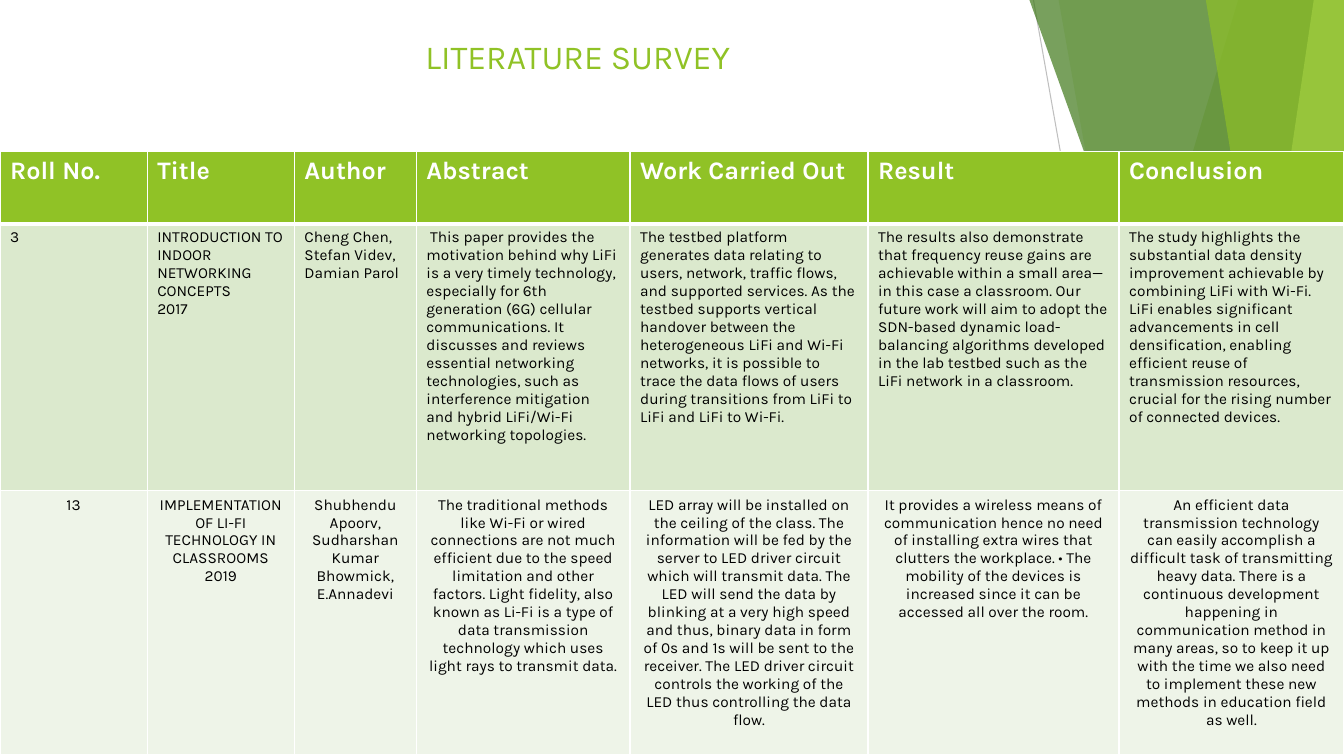
from lxml import etree
from pptx import Presentation
from pptx.dml.color import RGBColor
from pptx.enum.shapes import MSO_CONNECTOR
from pptx.enum.text import MSO_ANCHOR, MSO_AUTO_SIZE, PP_ALIGN
from pptx.oxml.ns import qn
from pptx.util import Inches, Pt

STRAIGHT = MSO_CONNECTOR.STRAIGHT
TOP = MSO_ANCHOR.TOP
NO_AUTOFIT = MSO_AUTO_SIZE.NONE
LEFT, CENTER = PP_ALIGN.LEFT, PP_ALIGN.CENTER

FONT = "Karla"
WIDTH, HEIGHT = 13.33, 7.5
TITLE_ONLY = 5
COLORS = {
    "green": "90C226",
    "forest": "3F7819",
    "lime": "C0E474",
    "gray": "BFBFBF",
    "white": "FFFFFF",
    "black": "000000",
    "row_dark": "DBE9CD",
    "row_light": "EEF4E8",
}

FACETS = [
    (2.24, 0, "green", 30),
    (0.46, 1.79, "green", 20),
    (0.17, 2.87, "forest", 70),
    (2.99, 1.88, "lime", 70),
    (1.92, 3.14, "green", 65),
]

COLUMN_WIDTHS = [1.46, 1.46, 1.21, 2.12, 2.36, 2.49, 2.23]
ROW_HEIGHTS = [0.72, 2.65, 2.62]
HEADINGS = ["Roll No.", "Title", "Author", "Abstract", "Work Carried Out", "Result", "Conclusion"]
NETWORKING_PAPER = [
    "3",
    "INTRODUCTION TO INDOOR NETWORKING CONCEPTS\n2017",
    "Cheng Chen, Stefan Videv, Damian Parol",
    " This paper provides the motivation behind why LiFi is a very timely technology, "
    "especially for 6th generation (6G) cellular communications. It discusses and reviews "
    "essential networking technologies, such as interference mitigation and hybrid "
    "LiFi/Wi-Fi networking topologies.",
    "The testbed platform generates data relating to users, network, traffic flows, and "
    "supported services. As the testbed supports vertical handover between the heterogeneous "
    "LiFi and Wi-Fi networks, it is possible to trace the data flows of users during "
    "transitions from LiFi to LiFi and LiFi to Wi-Fi.",
    "The results also demonstrate that frequency reuse gains are achievable within a small "
    "area—in this case a classroom. Our future work will aim to adopt the SDN-based dynamic "
    "load-balancing algorithms developed in the lab testbed such as the LiFi network in a "
    "classroom.",
    "The study highlights the substantial data density improvement achievable by combining "
    "LiFi with Wi-Fi. LiFi enables significant advancements in cell densification, enabling "
    "efficient reuse of transmission resources, crucial for the rising number of connected "
    "devices.",
]
CLASSROOM_PAPER = [
    "13",
    "IMPLEMENTATION OF LI-FI TECHNOLOGY IN CLASSROOMS\n2019",
    "Shubhendu Apoorv, Sudharshan Kumar Bhowmick, E.Annadevi",
    "The traditional methods like Wi-Fi or wired connections are not much efficient due to "
    "the speed limitation and other factors. Light fidelity, also known as Li-Fi is a type of "
    "data transmission technology which uses light rays to transmit data.",
    "LED array will be installed on the ceiling of the class. The information will be fed by "
    "the server to LED driver circuit which will transmit data. The LED will send the data by "
    "blinking at a very high speed and thus, binary data in form of 0s and 1s will be sent to "
    "the receiver. The LED driver circuit controls the working of the LED thus controlling "
    "the data flow.",
    "It provides a wireless means of communication hence no need of installing extra wires "
    "that clutters the workplace. • The mobility of the devices is increased since it can be "
    "accessed all over the room.",
    "An efficient data transmission technology can easily accomplish a difficult task of "
    "transmitting heavy data. There is a continuous development happening in communication "
    "method in many areas, so to keep it up with the time we also need to implement these new "
    "methods in education field as well.",
]
ROWS = [
    (HEADINGS, "green", "white", 18, True, LEFT),
    (NETWORKING_PAPER, "row_dark", "black", 11, False, LEFT),
    (CLASSROOM_PAPER, "row_light", "black", 11, False, CENTER),
]


def rgb(name):
    """Return the named colour."""
    return RGBColor.from_string(COLORS[name])


def write_text(text_frame, text, size, color, bold, alignment):
    """Write one formatted paragraph per line of text."""
    for index, line in enumerate(text.split("\n")):
        paragraph = text_frame.add_paragraph() if index else text_frame.paragraphs[0]
        paragraph.alignment = alignment
        run = paragraph.add_run()
        run.text = line
        run.font.name = FONT
        run.font.size = Pt(size)
        run.font.bold = bold
        run.font.color.rgb = rgb(color)


def add_facets(slide, left, top, width, height):
    """Draw the thin line and the translucent facets in the given box."""
    right, bottom = left + width, top + height
    line = slide.shapes.add_connector(
        STRAIGHT, Inches(left + 0.21), Inches(top), Inches(left + 1.54), Inches(bottom)
    )
    line.line.color.rgb = rgb("gray")
    line.line.width = Pt(0.75)
    etree.SubElement(line.element.spPr, qn("a:effectLst"))

    for upper, lower, color, opacity in FACETS:
        builder = slide.shapes.build_freeform(Inches(left + upper), Inches(top))
        corners = [(right, top), (right, bottom), (left + lower, bottom)]
        builder.add_line_segments([(Inches(x), Inches(y)) for x, y in corners])
        facet = builder.convert_to_shape()
        facet.shadow.inherit = False
        facet.line.fill.background()
        facet.fill.solid()
        facet.fill.fore_color.rgb = rgb(color)
        fill_color = facet.element.spPr.find(qn("a:solidFill")).find(qn("a:srgbClr"))
        etree.SubElement(fill_color, qn("a:alpha"), val=str(opacity * 1000))


def add_title(slide, left, top, width, height):
    """Place the slide title in the given box."""
    title = slide.shapes.title
    title.left, title.top = Inches(left), Inches(top)
    title.width, title.height = Inches(width), Inches(height)
    text_frame = title.text_frame
    text_frame.auto_size = NO_AUTOFIT
    text_frame.vertical_anchor = TOP
    write_text(text_frame, "LITERATURE SURVEY", 24, "green", False, CENTER)


def set_borders(cell, top_width, bottom_width):
    """Give a cell white borders, one point wide at the sides."""
    widths = {"a:lnL": 1, "a:lnR": 1, "a:lnT": top_width, "a:lnB": bottom_width}
    properties = cell._tc.get_or_add_tcPr()
    for tag, width in widths.items():
        border = etree.SubElement(properties, qn(tag), w=str(Pt(width)))
        fill = etree.SubElement(border, qn("a:solidFill"))
        etree.SubElement(fill, qn("a:srgbClr"), val=COLORS["white"])


def add_survey_table(slide, left, top, width, height):
    """Build the literature table in the given box."""
    table = slide.shapes.add_table(
        len(ROWS), len(HEADINGS), Inches(left), Inches(top), Inches(width), Inches(height)
    ).table
    table.horz_banding = False
    for column, column_width in zip(table.columns, COLUMN_WIDTHS):
        column.width = Inches(column_width)
    for row, row_height in zip(table.rows, ROW_HEIGHTS):
        row.height = Inches(row_height)

    for row_index, (texts, fill, color, size, bold, alignment) in enumerate(ROWS):
        top_width = 3 if row_index == 1 else 1
        bottom_width = 3 if row_index == 0 else 1
        for column_index, text in enumerate(texts):
            cell = table.cell(row_index, column_index)
            set_borders(cell, top_width, bottom_width)
            cell.fill.solid()
            cell.fill.fore_color.rgb = rgb(fill)
            write_text(cell.text_frame, text, size, color, bold, alignment)


def main():
    """Build and save the literature survey slide."""
    presentation = Presentation()
    presentation.slide_width, presentation.slide_height = Inches(WIDTH), Inches(HEIGHT)
    slide = presentation.slides.add_slide(presentation.slide_layouts[TITLE_ONLY])
    add_facets(slide, 10.04, 0, WIDTH - 10.04, HEIGHT)
    add_title(slide, 2.04, 0.31, 7.38, 0.5)
    add_survey_table(slide, 0, 1.5, WIDTH, sum(ROW_HEIGHTS))
    presentation.save("out.pptx")


if __name__ == "__main__":
    main()
